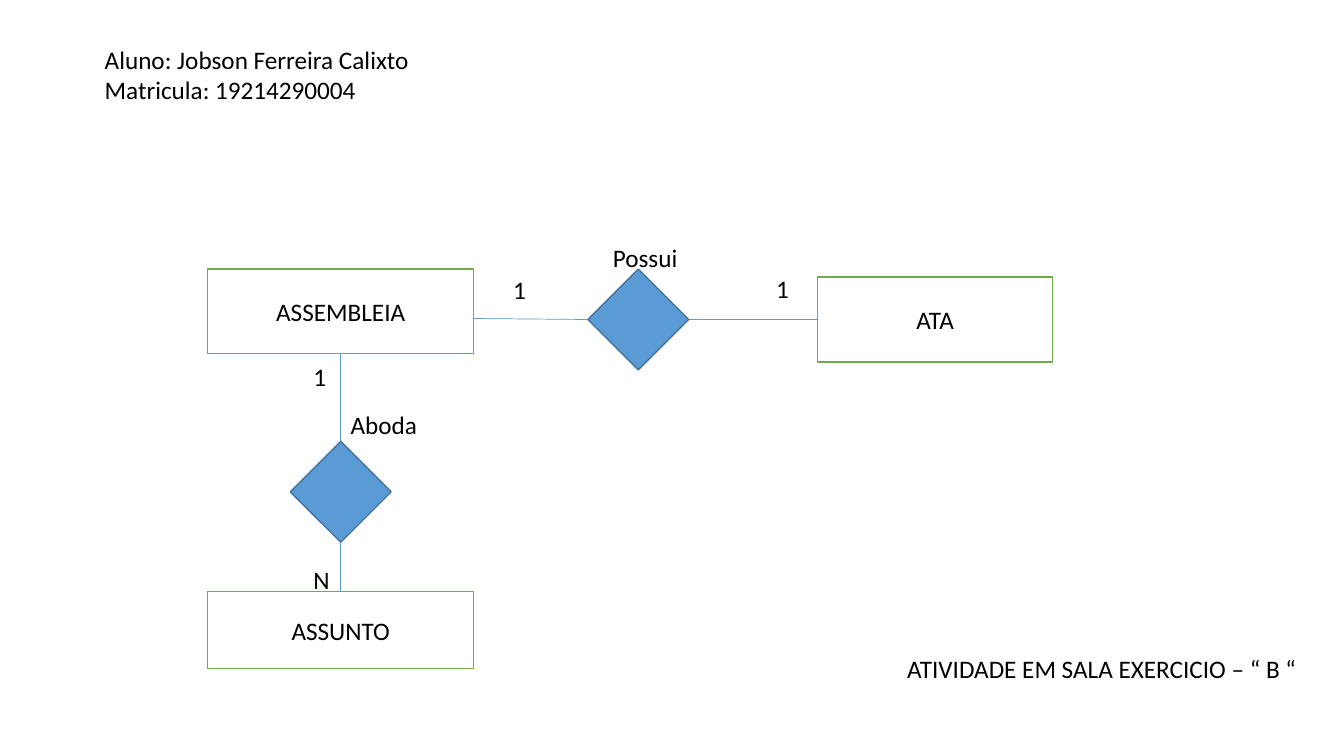
"""Build a slide with an entity-relationship diagram of assemblies, minutes and subjects."""
import pptx
import pptx.dml.color
import pptx.enum.shapes
import pptx.enum.text
import pptx.oxml.ns
import pptx.util
from lxml import etree

Inches = pptx.util.Inches
Shape = pptx.enum.shapes.MSO_SHAPE
Align = pptx.enum.text.PP_ALIGN
Anchor = pptx.enum.text.MSO_ANCHOR

COLORS = {
    "text": "000000",
    "entity_fill": "FFFFFF",
    "entity_line": "70AD47",
    "relation_fill": "5B9BD5",
    "relation_line": "43739E",
    "link": "5B9BD5",
}


def write(frame, text, *, size=18, font="Calibri", color="text", align=Align.LEFT,
          anchor=Anchor.TOP, wrap=False):
    frame.word_wrap = wrap
    frame.vertical_anchor = anchor
    frame.text = text
    for para in frame.paragraphs:
        para.alignment = align
        for span in para.runs:
            span.font.size = pptx.util.Pt(size)
            span.font.name = font
            span.font.color.rgb = pptx.dml.color.RGBColor.from_string(COLORS[color])


def add_figure(kind, left, top, width, height, role):
    figure = page.shapes.add_shape(
        kind, Inches(left), Inches(top), Inches(width), Inches(height))
    figure.shadow.inherit = False
    figure.fill.solid()
    figure.fill.fore_color.rgb = pptx.dml.color.RGBColor.from_string(COLORS[role + "_fill"])
    figure.line.color.rgb = pptx.dml.color.RGBColor.from_string(COLORS[role + "_line"])
    figure.line.width = pptx.util.Pt(1)
    return figure


deck = pptx.Presentation()
deck.slide_width = Inches(13.33)
deck.slide_height = Inches(7.5)
page = deck.slides.add_slide(deck.slide_layouts[6])

entities = [
    ("ASSEMBLEIA", 2.06, 2.67, 2.64, 0.84),
    ("ATA", 8.11, 2.75, 2.33, 0.84),
    ("ASSUNTO", 2.06, 5.87, 2.64, 0.76),
]
for name, left, top, width, height in entities:
    entity = add_figure(Shape.RECTANGLE, left, top, width, height, "entity")
    write(entity.text_frame, name, align=Align.CENTER, anchor=Anchor.MIDDLE, wrap=True)

for left, top in [(5.83, 2.67), (2.88, 4.38)]:
    add_figure(Shape.DIAMOND, left, top, 1, 1, "relation")

links = [
    (4.69, 3.16, 5.83, 3.17),
    (6.83, 3.17, 8.11, 3.17),
    (3.38, 4.38, 3.38, 3.51),
    (3.38, 5.38, 3.38, 5.87),
]
for ends in links:
    link = page.shapes.add_connector(
        pptx.enum.shapes.MSO_CONNECTOR.STRAIGHT, *[Inches(end) for end in ends])
    link.line.color.rgb = pptx.dml.color.RGBColor.from_string(COLORS["link"])
    link.line.width = pptx.util.Pt(0.5)
    etree.SubElement(link.element.spPr, pptx.oxml.ns.qn("a:effectLst"))

labels = [
    ("Possui", 5.98, 2.35, 0.85, 0.4),
    ("Aboda", 3.38, 4.01, 0.87, 0.4),
    ("1", 4.99, 2.67, 0.33, 0.4),
    ("1", 7.6, 2.66, 0.33, 0.4),
    ("1", 3.01, 3.54, 0.33, 0.4),
    ("N", 3.01, 5.55, 0.36, 0.4),
    ("ATIVIDADE EM SALA EXERCICIO – “ B “", 8.9, 6.43, 4.1, 0.4),
    ("Aluno: Jobson Ferreira Calixto\vMatricula: 19214290004", 0.94, 0.39, 3.31, 0.71),
]
for text, *place in labels:
    box = page.shapes.add_textbox(*[Inches(length) for length in place])
    write(box.text_frame, text)
    box.text_frame.auto_size = pptx.enum.text.MSO_AUTO_SIZE.SHAPE_TO_FIT_TEXT

deck.save("out.pptx")
